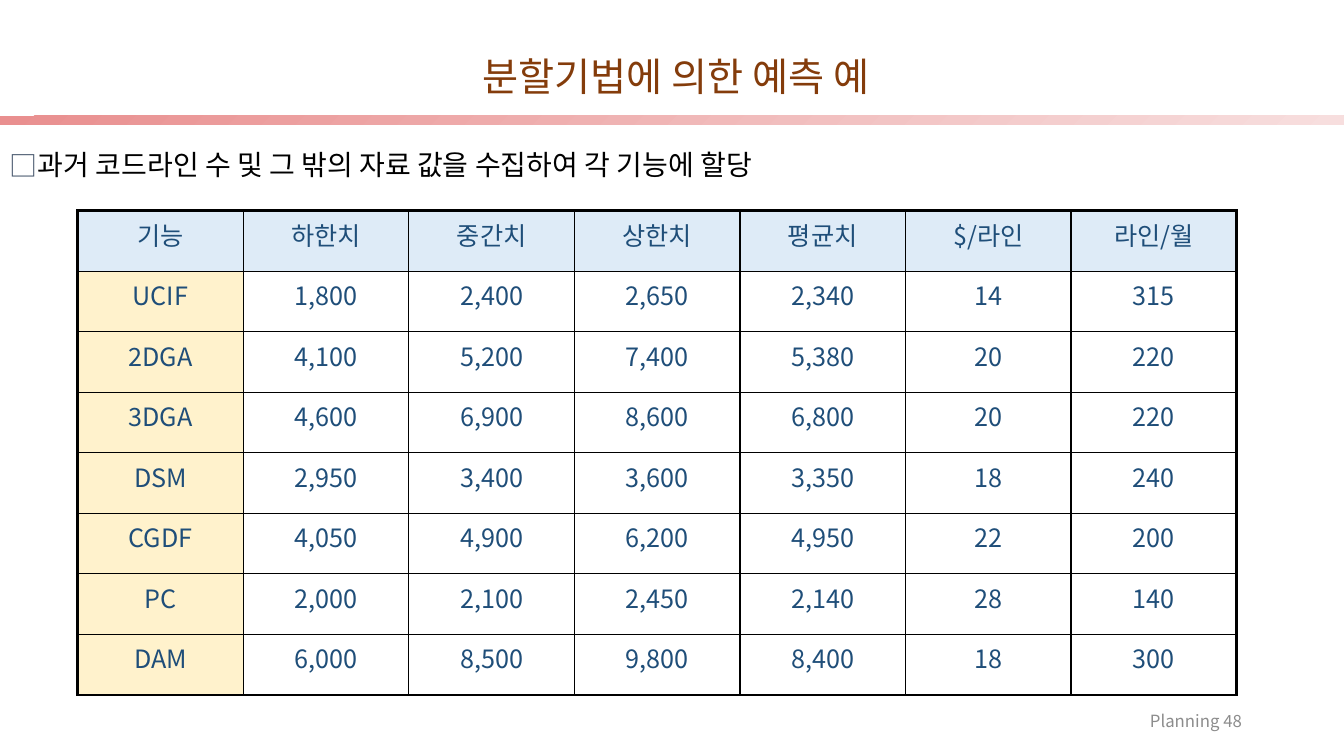
from dataclasses import dataclass

from lxml.etree import SubElement
from pptx import Presentation
from pptx.dml.color import RGBColor
from pptx.enum.shapes import MSO_SHAPE as Shape
from pptx.enum.text import MSO_ANCHOR as Anchor, PP_ALIGN as Align
from pptx.oxml.ns import qn
from pptx.util import Cm, Pt

TITLE = "분할기법에 의한 예측 예"
BULLET = "□"
POINT = "과거 코드라인 수 및 그 밖의 자료 값을 수집하여 각 기능에 할당"
FOOTER = "Planning 48"
ESTIMATES = [
    ("기능", "하한치", "중간치", "상한치", "평균치", "$/라인", "라인/월"),
    ("UCIF", "1,800", "2,400", "2,650", "2,340", "14", "315"),
    ("2DGA", "4,100", "5,200", "7,400", "5,380", "20", "220"),
    ("3DGA", "4,600", "6,900", "8,600", "6,800", "20", "220"),
    ("DSM", "2,950", "3,400", "3,600", "3,350", "18", "240"),
    ("CGDF", "4,050", "4,900", "6,200", "4,950", "22", "200"),
    ("PC", "2,000", "2,100", "2,450", "2,140", "28", "140"),
    ("DAM", "6,000", "8,500", "9,800", "8,400", "18", "300"),
]


@dataclass(frozen=True)
class Theme:
    font: str = "Noto Sans CJK KR"
    title: str = "843C0B"
    body: str = "000000"
    bullet: str = "44546A"
    cell: str = "1F4E79"
    footer: str = "8C8C8C"
    header_fill: str = "DEEBF7"
    name_fill: str = "FFF2CC"
    border: str = "000000"
    bar: tuple = ("E98F8F", "F7DEDE")
    title_size: int = 28
    body_size: int = 20
    cell_size: int = 18
    footer_size: int = 12
    outer_line: float = 2.25
    inner_line: float = 1


theme = Theme()


def rgb(value):
    return RGBColor.from_string(value)


def add_run(p, text, size, color, align):
    p.alignment = align
    r = p.add_run()
    r.text = text
    r.font.size = Pt(size)
    r.font.name = theme.font
    r.font.color.rgb = rgb(color)
    SubElement(r.font._element, qn("a:ea"), typeface=theme.font)


def add_bullet(p):
    pPr = p._p.get_or_add_pPr()
    pPr.set("marL", str(Cm(0.64)))
    pPr.set("indent", str(-Cm(0.64)))
    color = SubElement(pPr, qn("a:buClr"))
    SubElement(color, qn("a:srgbClr"), val=theme.bullet)
    SubElement(pPr, qn("a:buFont"), typeface=theme.font)
    SubElement(pPr, qn("a:buChar"), char=BULLET)


def add_borders(cell, outer_sides):
    tcPr = cell._tc.get_or_add_tcPr()
    for side, outer in outer_sides.items():
        width = theme.outer_line if outer else theme.inner_line
        ln = SubElement(tcPr, qn(f"a:ln{side}"), w=str(Pt(width)))
        fill = SubElement(ln, qn("a:solidFill"))
        SubElement(fill, qn("a:srgbClr"), val=theme.border)


def add_textbox(s, left, top, width, height, anchor):
    tf = s.shapes.add_textbox(Cm(left), Cm(top), Cm(width), Cm(height)).text_frame
    tf.word_wrap = True
    tf.vertical_anchor = anchor
    return tf.paragraphs[0]


def add_bar(s, width):
    sp = s.shapes.add_shape(Shape.RECTANGLE, 0, Cm(2.92), width, Cm(0.23))
    sp.shadow.inherit = False
    sp.line.fill.background()
    sp.fill.gradient()
    sp.fill.gradient_angle = 315
    for stop, color in zip(sp.fill.gradient_stops, theme.bar):
        stop.color.rgb = rgb(color)


def add_title(s):
    sp = s.shapes.title
    sp.left, sp.top, sp.width, sp.height = Cm(1.52), Cm(1.22), Cm(31.04), Cm(1.55)
    tf = sp.text_frame
    tf.vertical_anchor = Anchor.MIDDLE
    p = tf.paragraphs[0]
    p.line_spacing = 0.9
    add_run(p, TITLE, theme.title_size, theme.title, Align.CENTER)


def add_estimates(s):
    n_rows, n_cols = len(ESTIMATES), len(ESTIMATES[0])
    width, height = Cm(29.21), Cm(12.2)
    frame = s.shapes.add_table(n_rows, n_cols, Cm(1.96), Cm(5.31), width, height)
    table = frame.table
    table.first_row = table.horz_banding = False
    for column in table.columns:
        column.width = width // n_cols
    for row in table.rows:
        row.height = height // n_rows
    for i, values in enumerate(ESTIMATES):
        for j, value in enumerate(values):
            cell = table.cell(i, j)
            cell.margin_left = cell.margin_right = Cm(0.33)
            cell.margin_top = cell.margin_bottom = Cm(0.13)
            add_borders(cell, {"L": j == 0, "R": j == n_cols - 1,
                               "T": i == 0, "B": i == n_rows - 1})
            if i == 0 or j == 0:
                cell.fill.solid()
                cell.fill.fore_color.rgb = rgb(theme.name_fill if i else theme.header_fill)
            else:
                cell.fill.background()
            add_run(cell.text_frame.paragraphs[0], value,
                    theme.cell_size, theme.cell, Align.CENTER)


def main():
    prs = Presentation()
    prs.slide_width, prs.slide_height = Cm(33.87), Cm(19.05)
    s = prs.slides.add_slide(prs.slide_layouts[5])
    add_bar(s, prs.slide_width)
    add_title(s)
    p = add_textbox(s, 0, 3.68, 21.87, 1.3, Anchor.TOP)
    add_bullet(p)
    p.line_spacing = 0.9
    add_run(p, POINT, theme.body_size, theme.body, Align.LEFT)
    add_estimates(s)
    p = add_textbox(s, 23.93, 17.65, 7.62, 1.02, Anchor.MIDDLE)
    add_run(p, FOOTER, theme.footer_size, theme.footer, Align.RIGHT)
    prs.save("out.pptx")


if __name__ == "__main__":
    main()
